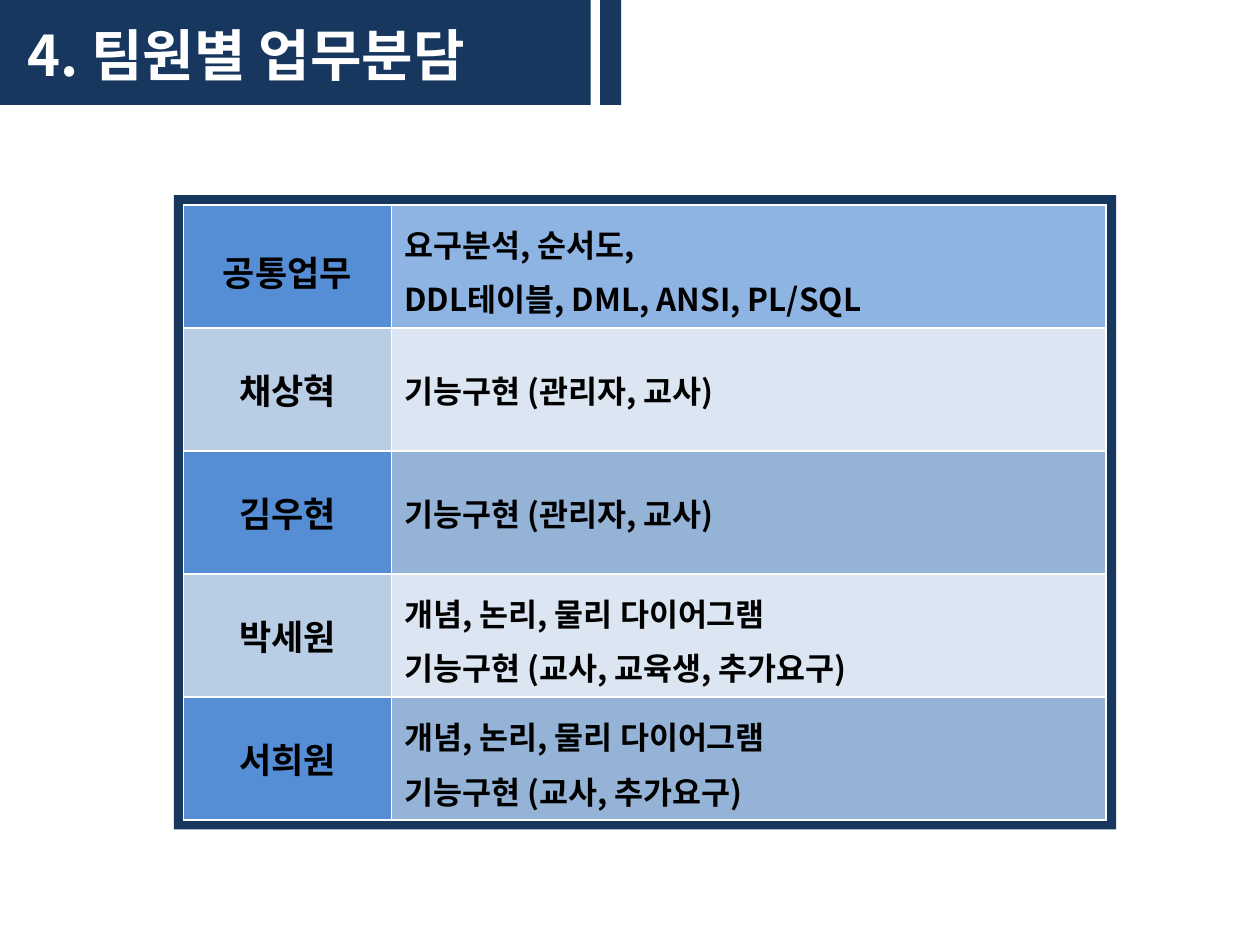
import dataclasses

import lxml.etree
import pptx
import pptx.dml.color
import pptx.enum.shapes
import pptx.enum.text
import pptx.oxml.ns
import pptx.util

Pt = pptx.util.Pt
ALIGN = pptx.enum.text.PP_ALIGN
ANCHOR = pptx.enum.text.MSO_ANCHOR


@dataclasses.dataclass(frozen=True)
class Theme:
    font: str = "Noto Sans CJK KR"
    navy: str = "17375E"
    white: str = "FFFFFF"
    black: str = "000000"
    label_fills: tuple = ("558ED5", "B9CDE5")
    first_duty_fill: str = "8EB4E3"
    duty_fills: tuple = ("95B3D7", "DCE6F2")
    title_size: int = 32
    label_size: int = 20
    duty_size: int = 18


def color(code):
    return pptx.dml.color.RGBColor.from_string(code)


def write_text(frame, lines, *, font, size, ink, align=ALIGN.LEFT, spacing=None):
    for index, line in enumerate(lines):
        para = frame.paragraphs[0] if index == 0 else frame.add_paragraph()
        para.alignment = align
        if spacing:
            para.line_spacing = spacing
        span = para.add_run()
        span.text = line
        span.font.size = Pt(size)
        span.font.bold = True
        span.font.color.rgb = color(ink)
        span.font.name = font
        east_asian = lxml.etree.SubElement(
            span.font._element, pptx.oxml.ns.qn("a:ea"))
        east_asian.set("typeface", font)


class SlideBuilder:
    def __init__(self, theme, page):
        self.theme = theme
        self.page = page

    def block(self, left, top, width, height):
        shape = self.page.shapes.add_shape(
            pptx.enum.shapes.MSO_SHAPE.RECTANGLE,
            Pt(left), Pt(top), Pt(width), Pt(height))
        shape.shadow.inherit = False
        shape.fill.solid()
        shape.fill.fore_color.rgb = color(self.theme.navy)
        shape.line.fill.background()

    def title(self, text, left, top, width, height):
        box = self.page.shapes.add_textbox(
            Pt(left), Pt(top), Pt(width), Pt(height))
        box.text_frame.word_wrap = True
        write_text(box.text_frame, [text], font=self.theme.font,
                   size=self.theme.title_size, ink=self.theme.white)

    def cell(self, cell, lines, fill, **style):
        cell.fill.solid()
        cell.fill.fore_color.rgb = color(fill)
        cell.vertical_anchor = ANCHOR.MIDDLE
        write_text(cell.text_frame, lines, font=self.theme.font,
                   ink=self.theme.black, **style)

    def duty_table(self, duties, left, top, widths, row_height):
        theme = self.theme
        table = self.page.shapes.add_table(
            len(duties), len(widths), Pt(left), Pt(top),
            Pt(sum(widths)), Pt(row_height * len(duties))).table
        table.first_row = False
        table.horz_banding = False
        for column, width in zip(table.columns, widths):
            column.width = Pt(width)
        for index, (label, lines) in enumerate(duties):
            table.rows[index].height = Pt(row_height)
            band = index % 2
            duty_fill = theme.duty_fills[band] if index else theme.first_duty_fill
            self.cell(table.cell(index, 0), [label], theme.label_fills[band],
                      size=theme.label_size, align=ALIGN.CENTER,
                      spacing=None if index else 1.2)
            self.cell(table.cell(index, 1), lines, duty_fill,
                      size=theme.duty_size,
                      spacing=1.2 if len(lines) > 1 else None)


DUTIES = [
    ("공통업무", ["요구분석, 순서도,", "DDL테이블, DML, ANSI, PL/SQL"]),
    ("채상혁", ["기능구현 (관리자, 교사)"]),
    ("김우현", ["기능구현 (관리자, 교사)"]),
    ("박세원", ["개념, 논리, 물리 다이어그램", "기능구현 (교사, 교육생, 추가요구)"]),
    ("서희원", ["개념, 논리, 물리 다이어그램", "기능구현 (교사, 추가요구)"]),
]


def main():
    deck = pptx.Presentation()
    deck.slide_width, deck.slide_height = Pt(720), Pt(540)
    builder = SlideBuilder(Theme(), deck.slides.add_slide(deck.slide_layouts[6]))
    builder.block(0, 0, 337.5, 60)
    builder.title("4. 팀원별 업무분담", 8.5, 8, 290, 46)
    builder.block(343, 0, 12, 60)
    builder.block(99.3, 111.5, 538.5, 362.5)
    builder.duty_table(DUTIES, 104.8, 117, (119, 408.2), 70.3)
    deck.save("out.pptx")


if __name__ == "__main__":
    main()
